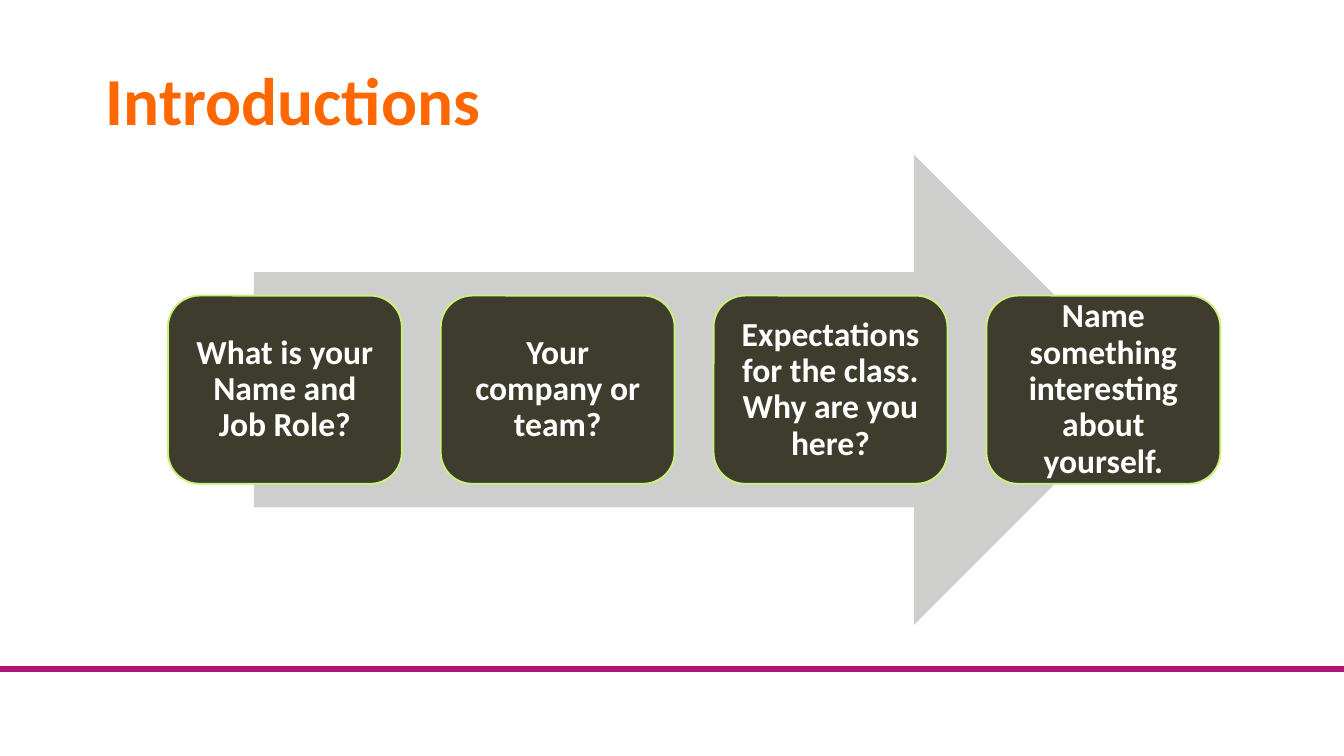
"""Build the Introductions slide: four prompts along a wide arrow."""
from pptx import Presentation
from pptx.dml.color import RGBColor
from pptx.enum.shapes import MSO_CONNECTOR, MSO_SHAPE
from pptx.enum.text import MSO_ANCHOR, PP_ALIGN
from pptx.oxml.ns import qn
from pptx.util import Inches, Pt
from lxml.etree import SubElement

CELL = Inches(0.1)
COLS, ROWS = 100, 56.25
FONT = {"name": "Calibri", "bold": True}
PAD = {f"margin_{side}": Inches(0.07) for side in ("left", "top", "right", "bottom")}
PROMPTS = [
    "What is your Name and Job Role?",
    "Your company or team?",
    "Expectations for the class. Why are you here?",
    "Name something interesting about yourself.",
]


def grid(*cells):
    return [round(cell * CELL) for cell in cells]


def write(shape, text, size, color, align, pad):
    frame = shape.text_frame
    frame.text = text
    line = frame.paragraphs[0]
    formats = [
        (frame, {"word_wrap": True, "vertical_anchor": MSO_ANCHOR.MIDDLE, **pad}),
        (line, {"alignment": align, "line_spacing": 0.9}),
        (line.runs[0].font, {"size": Pt(size), **FONT}),
    ]
    for target, values in formats:
        for key, value in values.items():
            setattr(target, key, value)
    line.runs[0].font.color.rgb = RGBColor.from_string(color)


deck = Presentation()
deck.slide_width, deck.slide_height = grid(COLS, ROWS)
slide = deck.slides.add_slide(deck.slide_layouts[6])
shapes = slide.shapes

rule = shapes.add_connector(MSO_CONNECTOR.STRAIGHT, *grid(0, 49.8, COLS, 49.8))
rule.line.color.rgb = RGBColor.from_string("AF1775")
rule.line.width = Pt(3)
SubElement(rule._element.spPr, qn("a:effectLst"))

title = shapes.add_textbox(*grid(6.9, 3, 86.2, 9.5))
write(title, "Introductions", 36, "FF6700", PP_ALIGN.LEFT, {})

arrow = shapes.add_shape(MSO_SHAPE.RIGHT_ARROW, *grid(18.9, 11.5, 66.6, 35))
arrow.shadow.inherit = False
arrow.fill.solid()
arrow.fill.fore_color.rgb = RGBColor.from_string("CECECD")
arrow.line.fill.background()

for step, prompt in enumerate(PROMPTS):
    card = shapes.add_shape(
        MSO_SHAPE.ROUNDED_RECTANGLE, *grid(12.5 + 20.3 * step, 22, 17.4, 14)
    )
    card.shadow.inherit = False
    card.fill.solid()
    card.fill.fore_color.rgb = RGBColor.from_string("3E3D2D")
    card.line.color.rgb = RGBColor.from_string("CAF278")
    card.line.width = Pt(1)
    write(card, prompt, 18, "FFFFFF", PP_ALIGN.CENTER, PAD)

deck.save("out.pptx")
